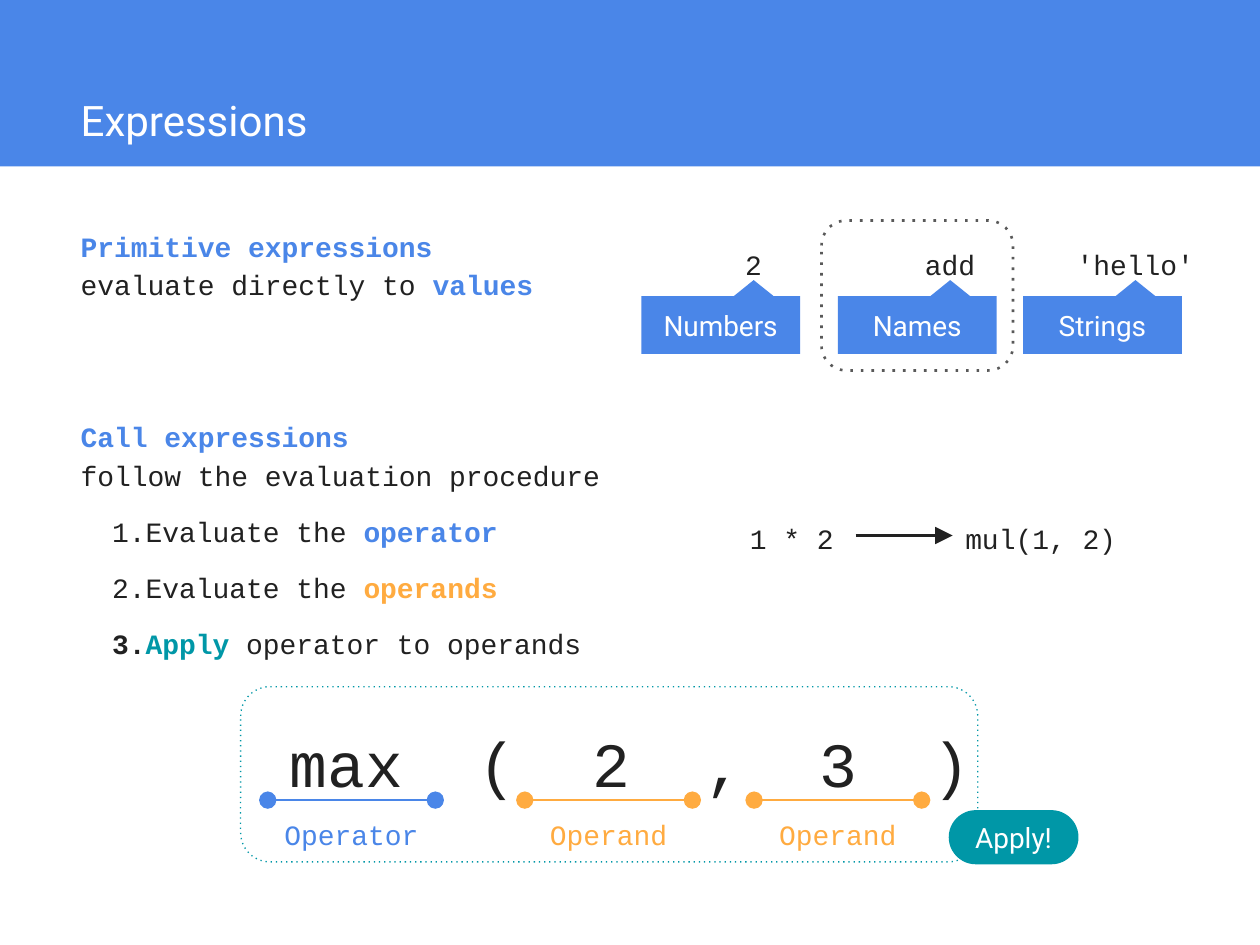
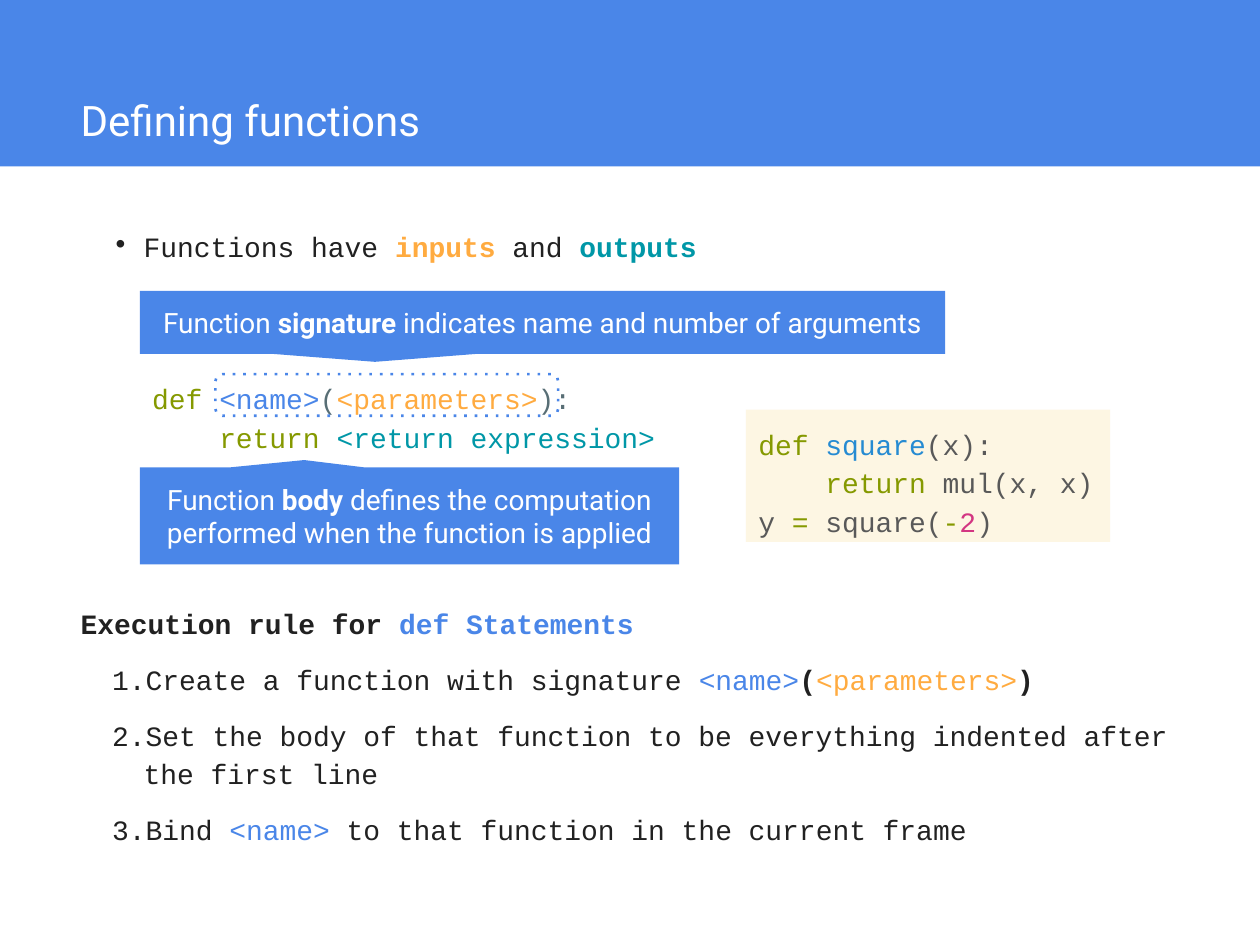
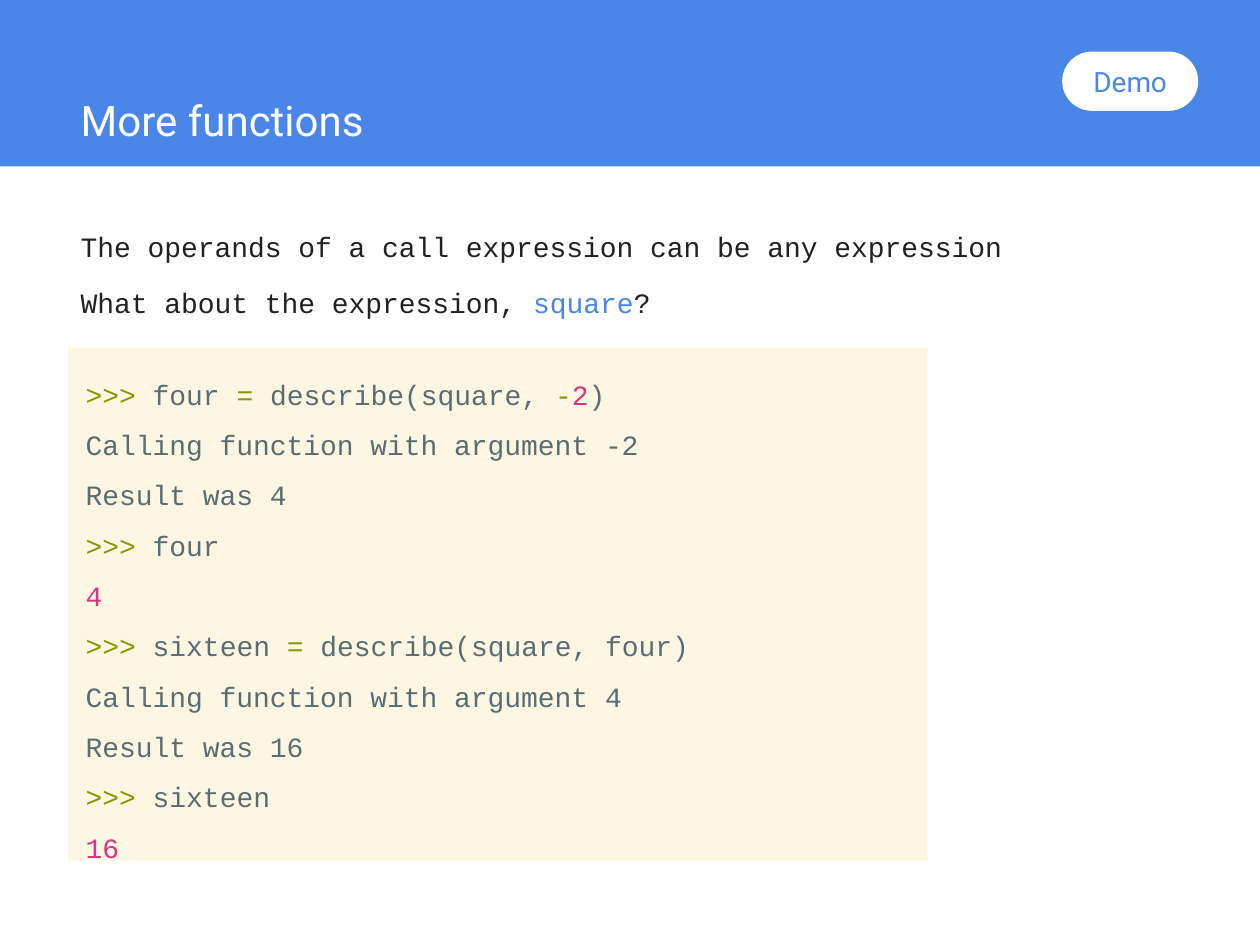
from dataclasses import dataclass, replace
from typing import NamedTuple, Optional

from lxml import etree
from pptx import Presentation
from pptx.dml.color import RGBColor
from pptx.enum.shapes import MSO_CONNECTOR, MSO_SHAPE
from pptx.enum.text import MSO_ANCHOR, MSO_AUTO_SIZE, PP_ALIGN
from pptx.oxml.ns import qn
from pptx.util import Inches, Pt

# Enum members
LEFT, CENTER = PP_ALIGN.LEFT, PP_ALIGN.CENTER
TOP, MIDDLE = MSO_ANCHOR.TOP, MSO_ANCHOR.MIDDLE
RECT, ROUND = MSO_SHAPE.RECTANGLE, MSO_SHAPE.ROUNDED_RECTANGLE
CALLOUT = MSO_SHAPE.ROUNDED_RECTANGULAR_CALLOUT
STRAIGHT = MSO_CONNECTOR.STRAIGHT

# Colours
BLUE = RGBColor(0x4A, 0x86, 0xE8)
ORANGE = RGBColor(0xFF, 0xAB, 0x40)
TEAL = RGBColor(0x00, 0x97, 0xA7)
INK = RGBColor(0x21, 0x21, 0x21)
GRAY = RGBColor(0x59, 0x59, 0x59)
SLATE = RGBColor(0x58, 0x6E, 0x75)
OLIVE = RGBColor(0x85, 0x99, 0x00)
SKY = RGBColor(0x26, 0x8B, 0xD2)
PINK = RGBColor(0xD3, 0x36, 0x82)
CREAM = RGBColor(0xFD, 0xF6, 0xE3)
WHITE = RGBColor(0xFF, 0xFF, 0xFF)

# Grid: 100 columns by 75 rows
WIDE, TALL = Inches(10), Inches(7.5)
COL, ROW = WIDE // 100, TALL // 75
EDGE, FULL = 5.4, 89.2
INSET = Inches(0.1)


class Box(NamedTuple):
    x: float
    y: float
    w: float
    h: float

    def span(self) -> tuple[int, int, int, int]:
        return (round(self.x * COL), round(self.y * ROW),
                round(self.w * COL), round(self.h * ROW))


class Run(NamedTuple):
    text: str
    hue: Optional[RGBColor] = None
    bold: bool = False


class Para(NamedTuple):
    runs: list[Run]
    mark: str = ""


@dataclass(frozen=True)
class Style:
    face: str = "Courier New"
    size: int = 16
    hue: RGBColor = INK
    align: PP_ALIGN = LEFT
    space: float = 1.15
    after: int = 10
    indent: float = 0


CODE = Style()
LABEL = replace(CODE, align=CENTER, after=0)
SPEECH = Style("Roboto", 16, WHITE, CENTER, 1, 0)
HEAD = replace(SPEECH, size=24, align=LEFT)
SHELL = replace(CODE, hue=SLATE, space=1.5, after=0, indent=0.04)


# Text
def para(*runs: Run | str, mark: str = "") -> Para:
    return Para([Run(r) if isinstance(r, str) else r for r in runs], mark)


def set_mark(item, mark: str, indent: float) -> None:
    """Give a paragraph its indents and its number, dot or no mark."""
    props = item._p.get_or_add_pPr()
    props.set("marL", str(Inches(0.5 if mark else indent)))
    props.set("indent", str(Inches(-0.25 if mark else 0)))
    if not mark:
        etree.SubElement(props, qn("a:buNone"))
        return
    tint = etree.SubElement(props, qn("a:buClr"))
    etree.SubElement(tint, qn("a:srgbClr"), val=str(INK))
    etree.SubElement(props, qn("a:buFont"), typeface=CODE.face)
    if mark == "1.":
        etree.SubElement(props, qn("a:buAutoNum"), type="arabicPeriod")
    else:
        etree.SubElement(props, qn("a:buChar"), char=mark)


def add_run(item, run: Run) -> None:
    for i, line in enumerate(run.text.split("\n")):
        if i:
            item.add_line_break()
        if line:
            part = item.add_run()
            part.text = line
            if run.bold:
                part.font.bold = True
            if run.hue is not None:
                part.font.color.rgb = run.hue


def write(shape, paras: list[Para], style: Style, anchor=TOP,
          wrap: bool = True) -> None:
    frame = shape.text_frame
    frame.auto_size, frame.word_wrap = MSO_AUTO_SIZE.NONE, wrap
    frame.vertical_anchor = anchor
    frame.margin_left = frame.margin_right = INSET
    frame.margin_top = frame.margin_bottom = INSET
    for i, spec in enumerate(paras):
        item = frame.add_paragraph() if i else frame.paragraphs[0]
        set_mark(item, spec.mark, style.indent)
        item.alignment, item.line_spacing = style.align, style.space
        item.space_before, item.space_after = Pt(0), Pt(style.after)
        font = item.font
        font.name, font.size = style.face, Pt(style.size)
        font.color.rgb = style.hue
        for run in spec.runs:
            add_run(item, run)


def place(holder, box: Box, paras: list[Para], style: Style = CODE) -> None:
    holder.left, holder.top, holder.width, holder.height = box.span()
    write(holder, paras, style)


def add_text(slide, box: Box, paras: list[Para], style: Style = CODE,
             anchor=TOP, wrap: bool = True):
    shape = slide.shapes.add_textbox(*box.span())
    write(shape, paras, style, anchor, wrap)
    return shape


# Shapes
def paint(shape, hue: RGBColor) -> None:
    shape.fill.solid()
    shape.fill.fore_color.rgb = hue


def add_solid(slide, kind, box: Box, hue: RGBColor, *adjust: float):
    shape = slide.shapes.add_shape(kind, *box.span())
    shape.shadow.inherit = False
    paint(shape, hue)
    shape.line.fill.background()
    for i, value in enumerate(adjust):
        shape.adjustments[i] = value
    return shape


def add_frame(slide, box: Box, hue: RGBColor, width: float) -> None:
    shape = slide.shapes.add_shape(ROUND, *box.span())
    shape.shadow.inherit = False
    shape.fill.background()
    shape.line.color.rgb, shape.line.width = hue, Pt(width)
    outline = shape._element.spPr.find(qn("a:ln"))
    etree.SubElement(outline, qn("a:prstDash"), val="dot")


def add_callout(slide, box: Box, tip: tuple[float, float],
                *paras: Para) -> None:
    shape = add_solid(slide, CALLOUT, box, BLUE, *tip, 0)
    write(shape, list(paras), SPEECH, MIDDLE)


def add_pill(slide, box: Box, text: str, back: RGBColor,
             hue: RGBColor) -> None:
    shape = add_solid(slide, ROUND, box, back, 0.5)
    write(shape, [para(text)], replace(SPEECH, hue=hue), MIDDLE, False)


def add_line(slide, x: float, y: float, w: float, hue: RGBColor,
             width: float, **ends: str) -> None:
    left, top, run, _ = Box(x, y, w, 0).span()
    line = slide.shapes.add_connector(STRAIGHT, left, top, left + run, top)
    line.line.color.rgb, line.line.width = hue, Pt(width)
    props = line._element.spPr
    outline = props.find(qn("a:ln"))
    for end, kind in ends.items():
        etree.SubElement(outline, qn(f"a:{end}"), type=kind, w="lg", len="lg")
    etree.SubElement(props, qn("a:effectLst"))


def add_label(slide, box: Box, text: str) -> None:
    add_text(slide, box, [para(text)], LABEL, MIDDLE, False)


def add_slide(deck, layout, title: str):
    """Return a titled slide and its two body placeholders."""
    slide = deck.slides.add_slide(layout)
    head, first, last = slide.placeholders
    place(head, Box(EDGE, 6.5, FULL, 5.7), [para(title)], HEAD)
    return slide, first, last


# Slide 1
def draw_calls(deck, layout) -> None:
    slide, first, last = add_slide(deck, layout, "Expressions")
    place(first, Box(EDGE, 16.8, 46.3, 8.1), [
        para(Run("Primitive expressions\n", BLUE, True),
             "evaluate directly to ", Run("values", BLUE, True))])
    place(last, Box(EDGE, 31.9, 46.3, 27.2), [
        para(Run("Call expressions\n", BLUE, True),
             "follow the evaluation procedure"),
        para("Evaluate the ", Run("operator", BLUE, True), mark="1."),
        para("Evaluate the ", Run("operands", ORANGE, True), mark="1."),
        para(Run("Apply", TEAL, True), " operator to operands", mark="1.")])

    # Kinds of primitive, each label centred over its callout's tip
    add_frame(slide, Box(65.2, 17.5, 15.2, 11.9), GRAY, 1.5)
    for x, value, kind in ((50.9, "2", "Numbers"), (66.5, "add", "Names"),
                           (81.2, "'hello'", "Strings")):
        add_label(slide, Box(x + 3.1, 18.5, 11.6, 4.6), value)
        add_callout(slide, Box(x, 23.5, 12.6, 4.6), (0.208, -0.776),
                    para(kind))

    # Infix to call
    add_label(slide, Box(57.7, 40.2, 10.3, 4.6), "1 * 2")
    add_label(slide, Box(75.6, 40.2, 14, 4.6), "mul(1, 2)")
    add_line(slide, 67.9, 42.5, 7.7, INK, 1.5, tailEnd="triangle")

    # Parts of a call
    add_frame(slide, Box(19.1, 54.5, 58.5, 13.9), TEAL, 0.75)
    add_text(slide, Box(EDGE, 55.6, FULL, 8.9),
             [para("max  (  2  ,  3  )")],
             replace(CODE, size=36, align=CENTER))
    for x, role, hue in ((20.9, "Operator", BLUE), (41.3, "Operand", ORANGE),
                         (59.5, "Operand", ORANGE)):
        add_text(slide, Box(x, 63.5, 14, 4.3), [para(role)],
                 replace(LABEL, hue=hue))
        add_line(slide, x + 0.35, 63.5, 13.3, hue, 0.75,
                 headEnd="oval", tailEnd="oval")
    add_pill(slide, Box(75.3, 64.3, 10.3, 4.3), "Apply!", TEAL, WHITE)


# Slide 2
def draw_defs(deck, layout) -> None:
    slide, first, last = add_slide(deck, layout, "Defining functions")
    name, args = Run("<name>", BLUE), Run("<parameters>", ORANGE)
    place(first, Box(EDGE, 16.8, FULL, 5), [
        para("Functions have ", Run("inputs", ORANGE, True), " and ",
             Run("outputs", TEAL, True), mark="•")])
    place(last, Box(EDGE, 46.7, FULL, 22), [
        para(Run("Execution rule for ", INK, True),
             Run("def Statements", BLUE, True)),
        para("Create a function with signature ", name,
             Run("(", INK, True), args, Run(")", INK, True), mark="1."),
        para("Set the body of that function to be everything indented "
             "after the first line", mark="1."),
        para("Bind ", name, " to that function in the current frame",
             mark="1.")])

    # Pattern of a def statement
    add_text(slide, Box(11.1, 28.9, 42.8, 8.3), [
        para(Run("def ", OLIVE), name, "(", args, "):\n    ",
             Run("return ", OLIVE), Run("<return expression>", TEAL))],
        replace(CODE, hue=SLATE))
    add_frame(slide, Box(17.1, 29.7, 27.2, 3.3), BLUE, 1.5)
    add_callout(slide, Box(11.1, 23.1, 63.9, 5), (-0.208, 0.625),
                para("Function ", Run("signature", bold=True),
                     " indicates name and number of arguments"))
    add_callout(slide, Box(11.1, 37.1, 42.8, 7.7), (-0.195, -0.576),
                para("Function ", Run("body", bold=True),
                     " defines the computation"),
                para("performed when the function is applied"))

    # Sample
    sample = add_text(slide, Box(59.2, 32.5, 28.9, 10.5), [
        para(Run("def ", OLIVE), Run("square", SKY), "(x):\n    ",
             Run("return", OLIVE), " mul(x, x)\ny ", Run("=", OLIVE),
             " square(", Run("-", OLIVE), Run("2", PINK), ")")],
        replace(CODE, hue=GRAY))
    paint(sample, CREAM)


# Slide 3
def draw_more(deck, layout) -> None:
    slide, first, last = add_slide(deck, layout, "More functions")
    place(first, Box(EDGE, 16.8, FULL, 9.2), [
        para("The operands of a call expression can be any expression"),
        para("What about the expression, ", Run("square", BLUE), "?")])
    ask, equal = Run(">>>", OLIVE), Run("=", OLIVE)
    place(last, Box(EDGE, 27.6, 68.2, 40.7), [
        para(ask, " four ", equal, " describe(square, ", Run("-", OLIVE),
             Run("2", PINK), ")"),
        para("Calling function with argument -2"),
        para("Result was 4"),
        para(ask, " four"),
        para(Run("4", PINK)),
        para(ask, " sixteen ", equal, " describe(square, four)"),
        para("Calling function with argument 4"),
        para("Result was 16"),
        para(ask, " sixteen"),
        para(Run("16", PINK))], SHELL)
    paint(last, CREAM)
    add_pill(slide, Box(84.3, 4.1, 10.8, 4.7), "Demo", WHITE, BLUE)


def main() -> None:
    deck = Presentation()
    deck.slide_width, deck.slide_height = WIDE, TALL
    layout = deck.slide_layouts.get_by_name("Two Content")
    for draw in (draw_calls, draw_defs, draw_more):
        draw(deck, layout)

    # Title band, shared through the layout
    band = add_solid(deck.slides[0], RECT, Box(0, 0, 100, 13.2), BLUE)
    layout.shapes._spTree.insert(2, band._element)
    deck.save("out.pptx")


if __name__ == "__main__":
    main()
